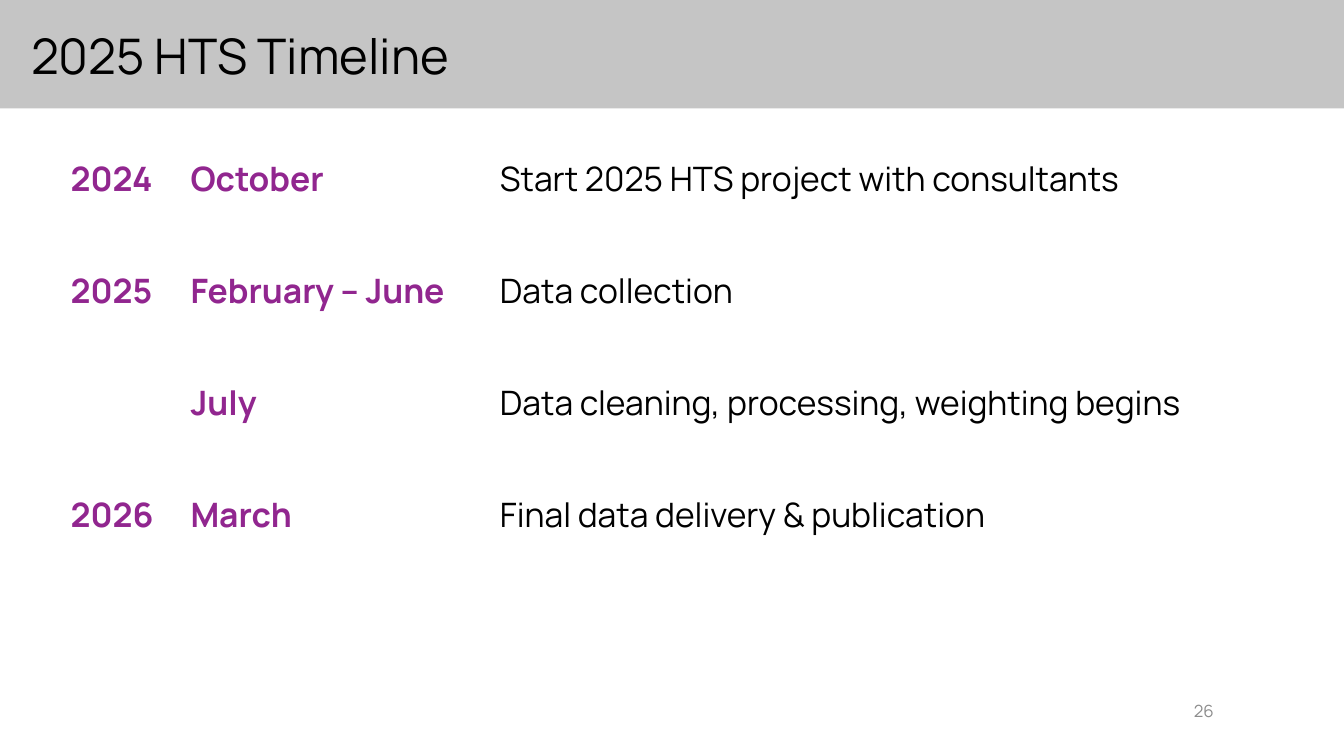
"""Build the 2025 HTS Timeline slide."""
from pptx import Presentation
from pptx.dml.color import RGBColor
from pptx.enum import shapes, text
from pptx.util import Pt

FONT = "Manrope"
BLACK, GREY, BAND, PURPLE = "000000", "8C8C8C", "C5C5C5", "91268F"
WIDTH, HEIGHT = 960, 540

TITLE = "2025 HTS Timeline"
PAGE_NUMBER = "26"
MILESTONES = [
    ("2024", "October", "Start 2025 HTS project with consultants"),
    ("2025", "February – June", "Data collection"),
    ("", "July", "Data cleaning, processing, weighting begins"),
    ("2026", "March", "Final data delivery & publication"),
]
COLUMN_WIDTHS = [85.7, 221, 562.3]
ROW_HEIGHT = 40
TABLE_LEFT, TABLE_TOP = 43.2, 107.3


def colour(value):
    return RGBColor.from_string(value)


def add_run(paragraph, words, size, value, bold=False):
    run = paragraph.add_run()
    run.text = words
    run.font.name = FONT
    run.font.size = Pt(size)
    run.font.bold = bold
    run.font.color.rgb = colour(value)


def add_label(slide, box, words, size, value, alignment):
    frame = slide.shapes.add_textbox(*map(Pt, box)).text_frame
    frame.word_wrap = True
    frame.vertical_anchor = text.MSO_ANCHOR.MIDDLE
    paragraph = frame.paragraphs[0]
    paragraph.alignment = alignment
    add_run(paragraph, words, size, value)
    return paragraph


def add_header(slide):
    band = slide.shapes.add_shape(
        shapes.MSO_SHAPE.RECTANGLE, Pt(0), Pt(-4.3), Pt(WIDTH), Pt(81.8))
    band.shadow.inherit = False
    band.fill.solid()
    band.fill.fore_color.rgb = colour(BAND)
    band.line.fill.background()
    title = add_label(slide, (15.1, 18, 828, 48.2), TITLE, 35, BLACK,
                      text.PP_ALIGN.LEFT)
    title.line_spacing = 0.9


def add_timeline(slide):
    row_count = 2 * len(MILESTONES)
    table = slide.shapes.add_table(
        row_count, len(COLUMN_WIDTHS), Pt(TABLE_LEFT), Pt(TABLE_TOP),
        Pt(sum(COLUMN_WIDTHS)), Pt(row_count * ROW_HEIGHT)).table
    table.first_row = table.horz_banding = False
    for column, width in zip(table.columns, COLUMN_WIDTHS):
        column.width = Pt(width)
    for row in table.rows:
        row.height = Pt(ROW_HEIGHT)
    for cell in table.iter_cells():
        cell.fill.background()
    for index, milestone in enumerate(MILESTONES):
        for column, words in enumerate(milestone):
            if words:
                is_date = column < 2
                paragraph = table.cell(2 * index, column).text_frame.paragraphs[0]
                add_run(paragraph, words, 24, PURPLE if is_date else BLACK, is_date)


def main():
    presentation = Presentation()
    presentation.slide_width, presentation.slide_height = Pt(WIDTH), Pt(HEIGHT)
    slide = presentation.slides.add_slide(presentation.slide_layouts[6])
    add_header(slide)
    add_label(slide, (832.3, 493.2, 41.8, 28.8), PAGE_NUMBER, 12, GREY,
              text.PP_ALIGN.RIGHT)
    add_timeline(slide)
    presentation.save("out.pptx")


if __name__ == "__main__":
    main()
